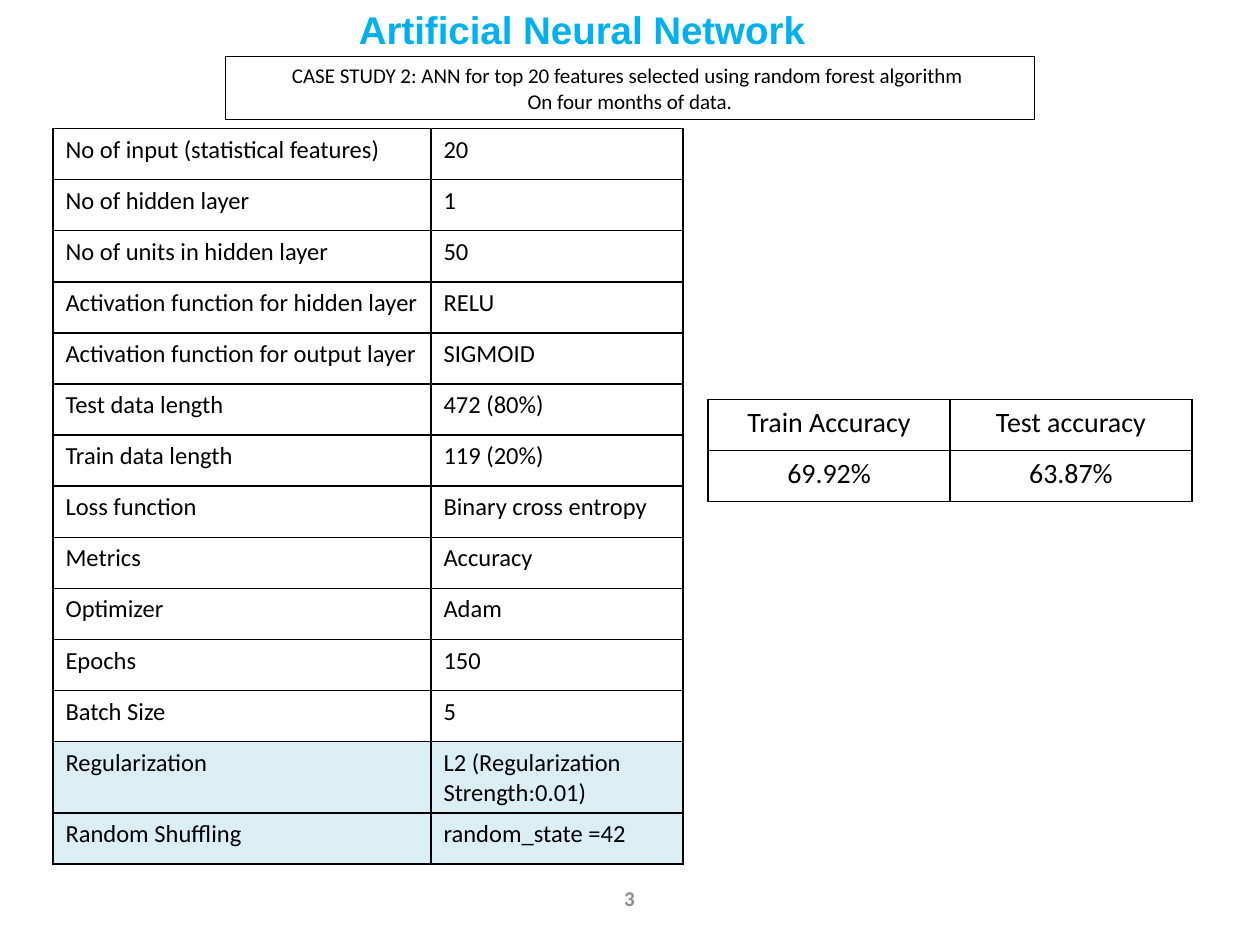
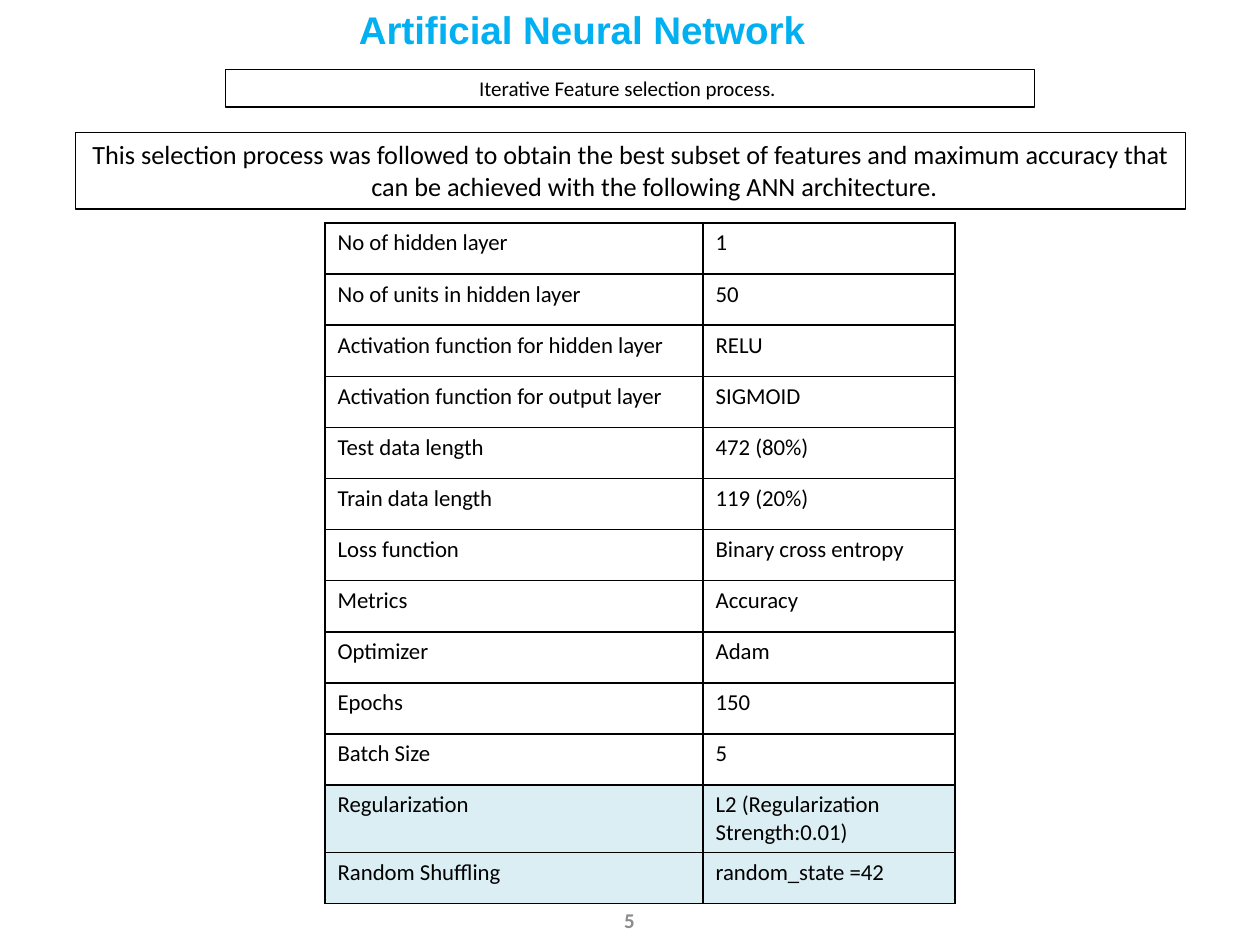
from lxml import etree
from pptx import Presentation
from pptx.dml.color import RGBColor
from pptx.enum.shapes import MSO_SHAPE
from pptx.enum.text import MSO_ANCHOR, PP_ALIGN
from pptx.oxml.ns import qn
from pptx.util import Inches, Pt

RECTANGLE = MSO_SHAPE.RECTANGLE
TOP, MIDDLE = MSO_ANCHOR.TOP, MSO_ANCHOR.MIDDLE
LEFT, CENTER = PP_ALIGN.LEFT, PP_ALIGN.CENTER

BLACK = RGBColor(0x00, 0x00, 0x00)
WHITE = RGBColor(0xFF, 0xFF, 0xFF)
TITLE_BLUE = RGBColor(0x00, 0xB0, 0xF0)
PAGE_GREY = RGBColor(0x8C, 0x8C, 0x8C)
HIGHLIGHT = RGBColor(0xDB, 0xEE, 0xF4)

BODY_FONT, TITLE_FONT = "Calibri", "Arial"
ROW_HEIGHT = Inches(4.87 / 12)
HANGING = Inches(0.38)

# Settings of the network, the same in both experiments
ARCHITECTURE = [
    ("No of hidden layer", "1"),
    ("No of units in hidden layer", "50"),
    ("Activation function for hidden layer", "RELU"),
    ("Activation function for output layer", "SIGMOID"),
    ("Test data length", "472 (80%)"),
    ("Train data length", "119 (20%)"),
    ("Loss function", "Binary cross entropy"),
    ("Metrics", "Accuracy"),
    ("Optimizer", "Adam"),
    ("Epochs", "150"),
    ("Batch Size", "5"),
    ("Regularization", "L2 (Regularization Strength:0.01)"),
    ("Random Shuffling", "random_state =42"),
]
ROW_FILLS = {
    "No of units in hidden layer": WHITE,
    "Regularization": HIGHLIGHT,
    "Random Shuffling": HIGHLIGHT,
}


def write(frame, text, size, color=BLACK, font=BODY_FONT, bold=False, align=LEFT):
    frame.text = text
    for paragraph in frame.paragraphs:
        paragraph.alignment = align
        for run in paragraph.runs:
            run.font.name = font
            run.font.size = Pt(size)
            run.font.bold = bold
            run.font.color.rgb = color


def add_label(slide, box, text, size, anchor=TOP, **style):
    frame = slide.shapes.add_textbox(*map(Inches, box)).text_frame
    frame.word_wrap = True
    frame.vertical_anchor = anchor
    write(frame, text, size, **style)


def add_framed_note(slide, box, text, size, anchor=MIDDLE):
    note = slide.shapes.add_shape(RECTANGLE, *map(Inches, box))
    note.shadow.inherit = False
    note.fill.background()
    note.line.color.rgb = BLACK
    note.line.width = Pt(0.75)
    note.text_frame.word_wrap = True
    note.text_frame.vertical_anchor = anchor
    write(note.text_frame, text, size, align=CENTER)
    for paragraph in note.text_frame.paragraphs:
        properties = paragraph._p.get_or_add_pPr()
        properties.set("marL", str(HANGING))
        properties.set("indent", str(-HANGING))


def add_borders(cell):
    properties = cell._tc.get_or_add_tcPr()
    for side in ("a:lnL", "a:lnR", "a:lnT", "a:lnB"):
        border = etree.SubElement(properties, qn(side), w=str(Pt(1)))
        fill = etree.SubElement(border, qn("a:solidFill"))
        etree.SubElement(fill, qn("a:srgbClr"), val=str(BLACK))


def add_grid(slide, left, top, widths, rows, size, align=LEFT):
    table = slide.shapes.add_table(
        len(rows), len(widths), Inches(left), Inches(top),
        Inches(sum(widths)), ROW_HEIGHT * len(rows)).table
    table.first_row = table.horz_banding = False
    for column, width in zip(table.columns, widths):
        column.width = Inches(width)
    for row, values in zip(table.rows, rows):
        row.height = ROW_HEIGHT
        fill_color = ROW_FILLS.get(values[0])
        for cell, value in zip(row.cells, values):
            write(cell.text_frame, value, size, align=align)
            add_borders(cell)
            if fill_color is None:
                cell.fill.background()
            else:
                cell.fill.solid()
                cell.fill.fore_color.rgb = fill_color


def add_base_slide(deck, page, page_top):
    slide = deck.slides.add_slide(deck.slide_layouts[6])
    add_label(slide, (4.65, page_top, 0.69, 0.4), page, 12, MIDDLE,
              color=PAGE_GREY, bold=True, align=CENTER)
    add_label(slide, (2.75, 0, 4.58, 0.47), "Artificial Neural Network", 22,
              color=TITLE_BLUE, font=TITLE_FONT, bold=True)
    return slide


def build_case_study(deck):
    slide = add_base_slide(deck, "3", 6.93)
    inputs = ("No of input (statistical features)", "20")
    add_grid(slide, 0.42, 1.02, (3, 2), [inputs] + ARCHITECTURE, 14)
    accuracy = [("Train Accuracy", "Test accuracy"), ("69.92%", "63.87%")]
    add_grid(slide, 5.62, 3.17, (1.92, 1.92), accuracy, 16, CENTER)
    add_framed_note(
        slide, (1.79, 0.45, 6.42, 0.5),
        "CASE STUDY 2: ANN for top 20 features selected using random forest "
        "algorithm \nOn four months of data.", 12)


def build_feature_selection(deck):
    slide = add_base_slide(deck, "5", 7.1)
    add_framed_note(slide, (1.79, 0.55, 6.42, 0.3),
                    "Iterative Feature selection process. ", 12)
    add_framed_note(
        slide, (0.6, 1.05, 8.81, 0.61),
        "This selection process was followed to obtain the best subset of "
        "features and maximum accuracy that can be achieved with the "
        "following ANN architecture.", 15, TOP)
    add_grid(slide, 2.58, 1.77, (3, 2), ARCHITECTURE, 13)


def main():
    deck = Presentation()
    deck.slide_width, deck.slide_height = Inches(10), Inches(7.5)
    build_case_study(deck)
    build_feature_selection(deck)
    deck.save("out.pptx")


if __name__ == "__main__":
    main()
